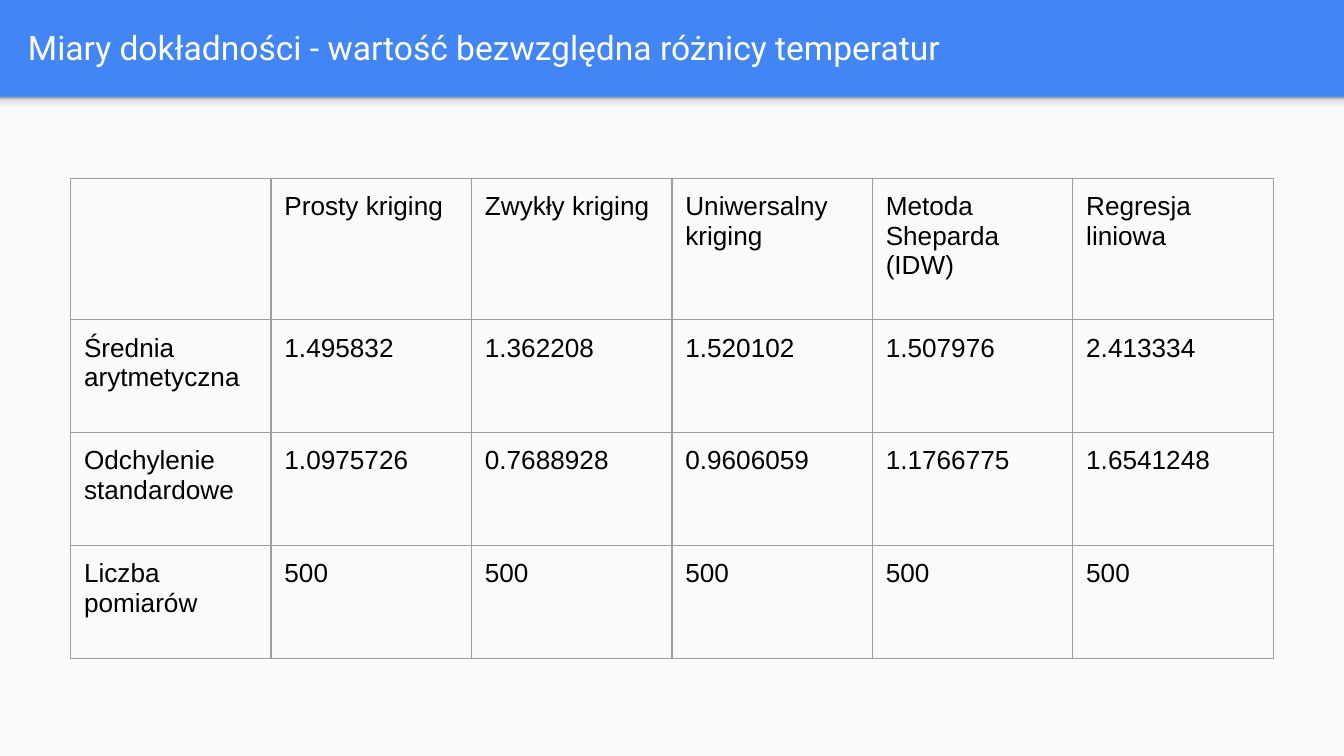
from lxml.etree import SubElement
from pptx import Presentation
from pptx.dml.color import RGBColor
from pptx.enum.shapes import MSO_SHAPE as Shape
from pptx.enum.text import MSO_ANCHOR as Anchor
from pptx.oxml.ns import qn
from pptx.util import Inches, Pt

BLUE = RGBColor(0x42, 0x85, 0xF4)
PAPER = RGBColor(0xFA, 0xFA, 0xFA)
WHITE = RGBColor(0xFF, 0xFF, 0xFF)
BLACK = RGBColor(0x00, 0x00, 0x00)
GRID = RGBColor(0x9E, 0x9E, 0x9E)
SHADE_LIGHT = RGBColor(0xF9, 0xF9, 0xF9)
SHADE_MID = RGBColor(0xDE, 0xDE, 0xDE)
SHADE_DARK = RGBColor(0x99, 0x99, 0x99)
SHADE_STOPS = [(0, SHADE_LIGHT), (36, SHADE_LIGHT), (80, SHADE_MID), (100, SHADE_DARK)]

WIDTH = 10
HEIGHT = WIDTH * 9 / 16
HEADER_HEIGHT = 0.72
SHADE_HEIGHT = 0.12
TABLE_WIDTH = 8.95
INSET = 0.1

TITLE = "Miary dokładności - wartość bezwzględna różnicy temperatur"
ROWS = [
    ["", "Prosty kriging", "Zwykły kriging", "Uniwersalny kriging",
     "Metoda Sheparda\n(IDW)", "Regresja liniowa"],
    ["Średnia arytmetyczna", "1.495832", "1.362208", "1.520102", "1.507976", "2.413334"],
    ["Odchylenie standardowe", "1.0975726", "0.7688928", "0.9606059", "1.1766775", "1.6541248"],
    ["Liczba pomiarów"] + ["500"] * 5,
]
HEAD_ROW_SHARE = 1.25


def add_span(para, text, font, size, color):
    span = para.add_run()
    span.text = text
    span.font.name = font
    span.font.size = Pt(size)
    span.font.color.rgb = color


def set_insets(target):
    for side in ("left", "top", "right", "bottom"):
        setattr(target, f"margin_{side}", Inches(INSET))


def add_panel(page, left, top, width, height):
    panel = page.shapes.add_shape(
        Shape.RECTANGLE, Inches(left), Inches(top), Inches(width), Inches(height))
    panel.shadow.inherit = False
    panel.line.fill.background()
    return panel


def add_body(page, left, top, width, height):
    body = add_panel(page, left, top, width, height)
    body.fill.solid()
    body.fill.fore_color.rgb = PAPER

    shade = add_panel(page, left, top, width, SHADE_HEIGHT)
    shade.fill.gradient()
    shade.fill.gradient_angle = 90
    stops = next(shade.element.iter(qn("a:gsLst")))
    for stop in list(stops):
        stops.remove(stop)
    for percent, color in SHADE_STOPS:
        stop = SubElement(stops, qn("a:gs"), pos=str(percent * 1000))
        SubElement(stop, qn("a:srgbClr"), val=str(color))


def add_title(page, left, top, width, height):
    box = page.shapes.add_textbox(Inches(left), Inches(top), Inches(width), Inches(height))
    frame = box.text_frame
    frame.word_wrap = True
    frame.vertical_anchor = Anchor.MIDDLE
    set_insets(frame)
    add_span(frame.paragraphs[0], TITLE, "Roboto", 18, WHITE)


def add_borders(cell):
    props = cell._tc.get_or_add_tcPr()
    for index, side in enumerate(("lnL", "lnR", "lnT", "lnB")):
        line = props.makeelement(qn(f"a:{side}"), {"w": str(Pt(0.75))})
        fill = SubElement(line, qn("a:solidFill"))
        SubElement(fill, qn("a:srgbClr"), val=str(GRID))
        props.insert(index, line)


def fill_cell(cell, text):
    cell.fill.background()
    cell.vertical_anchor = Anchor.TOP
    set_insets(cell)
    add_borders(cell)
    frame = cell.text_frame
    for index, part in enumerate(text.split("\n") if text else []):
        para = frame.add_paragraph() if index else frame.paragraphs[0]
        add_span(para, part, "Arial", 14, BLACK)


def add_measures(page, left, top, width, height):
    table = page.shapes.add_table(
        len(ROWS), len(ROWS[0]),
        Inches(left), Inches(top), Inches(width), Inches(height)).table
    table.first_row = False
    table.horz_banding = False
    for column in table.columns:
        column.width = Inches(width / len(ROWS[0]))
    row_height = height / (len(ROWS) - 1 + HEAD_ROW_SHARE)
    for index, row in enumerate(table.rows):
        row.height = Inches(row_height if index else row_height * HEAD_ROW_SHARE)
        for cell, text in zip(row.cells, ROWS[index]):
            fill_cell(cell, text)


def main():
    deck = Presentation()
    deck.slide_width, deck.slide_height = Inches(WIDTH), Inches(HEIGHT)
    page = deck.slides.add_slide(deck.slide_layouts[6])
    page.background.fill.solid()
    page.background.fill.fore_color.rgb = BLUE
    add_body(page, 0, HEADER_HEIGHT, WIDTH, HEIGHT - HEADER_HEIGHT)
    add_title(page, 0.11, 0.02, 9.65, 0.66)
    add_measures(page, (WIDTH - TABLE_WIDTH) / 2, 1.33, TABLE_WIDTH, 3.57)
    deck.save("out.pptx")


if __name__ == "__main__":
    main()
